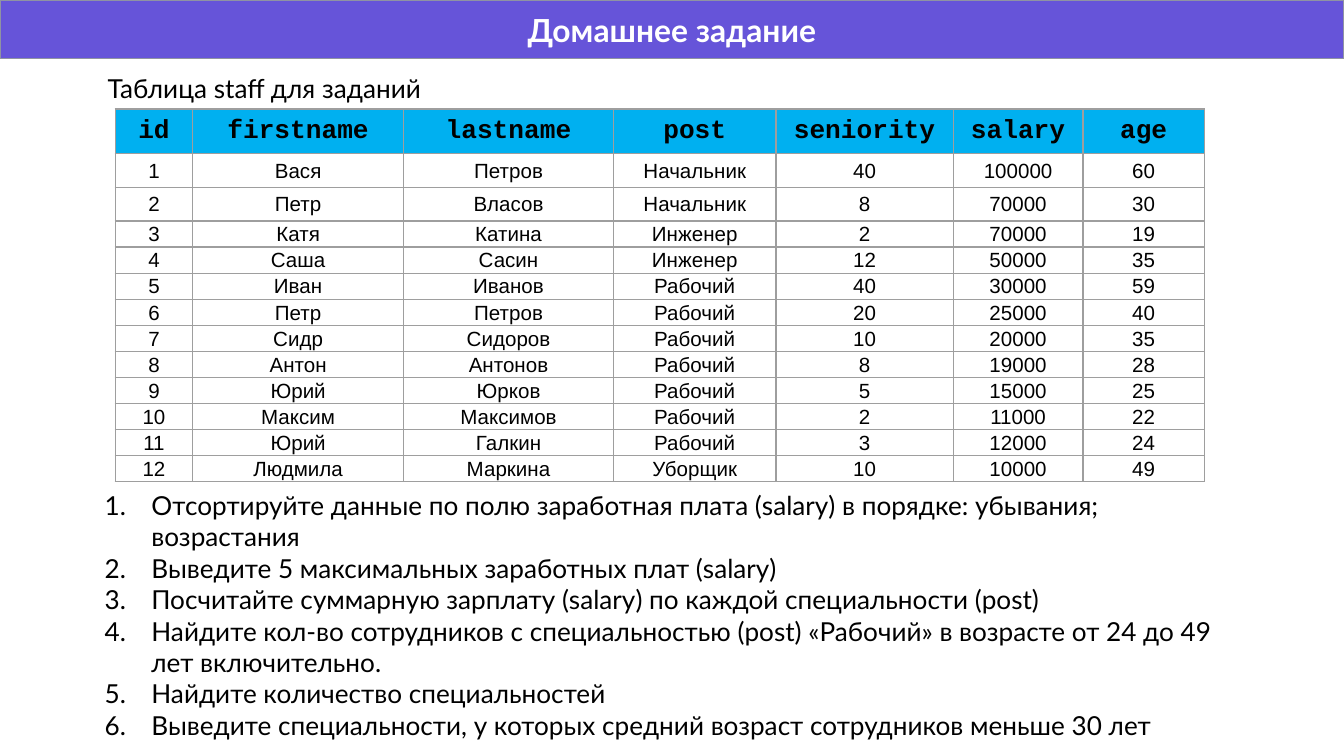
import dataclasses

import lxml.etree
import pptx
import pptx.dml.color
import pptx.enum.text
import pptx.oxml.ns
import pptx.util

Pt = pptx.util.Pt
qn = pptx.oxml.ns.qn
SubElement = lxml.etree.SubElement
Align = pptx.enum.text.PP_ALIGN
Anchor = pptx.enum.text.MSO_ANCHOR
AutoSize = pptx.enum.text.MSO_AUTO_SIZE


@dataclasses.dataclass(frozen=True)
class Theme:
    banner: str = "6654D9"
    banner_line: str = "8F93A3"
    banner_text: str = "FFFFFF"
    text: str = "000000"
    header: str = "00B0F0"
    grid: str = "9E9E9E"
    text_font: str = "Lato"
    header_font: str = "Courier New"
    cell_font: str = "Arial"
    title_size: float = 17
    text_size: float = 14
    cell_size: float = 11
    line_width: float = 0.75
    text_inset: float = 7.2
    cell_inset: float = 0.72


THEME = Theme()

TITLE = "Домашнее задание"
CAPTION = "Таблица staff для заданий"
STAFF = [
    ("id", "firstname", "lastname", "post", "seniority", "salary", "age"),
    (1, "Вася", "Петров", "Начальник", 40, 100000, 60),
    (2, "Петр", "Власов", "Начальник", 8, 70000, 30),
    (3, "Катя", "Катина", "Инженер", 2, 70000, 19),
    (4, "Саша", "Сасин", "Инженер", 12, 50000, 35),
    (5, "Иван", "Иванов", "Рабочий", 40, 30000, 59),
    (6, "Петр", "Петров", "Рабочий", 20, 25000, 40),
    (7, "Сидр", "Сидоров", "Рабочий", 10, 20000, 35),
    (8, "Антон", "Антонов", "Рабочий", 8, 19000, 28),
    (9, "Юрий", "Юрков", "Рабочий", 5, 15000, 25),
    (10, "Максим", "Максимов", "Рабочий", 2, 11000, 22),
    (11, "Юрий", "Галкин", "Рабочий", 3, 12000, 24),
    (12, "Людмила", "Маркина", "Уборщик", 10, 10000, 49),
]
COLUMN_WIDTHS = [41.5, 113, 112.5, 87, 95, 69.5, 65]
ROW_HEIGHTS = [24, 18, 18] + [14] * 10
TASKS = [
    "Отсортируйте данные по полю заработная плата (salary) в порядке: убывания; возрастания",
    "Выведите 5 максимальных заработных плат (salary)",
    "Посчитайте суммарную зарплату (salary) по каждой специальности (роst)",
    "Найдите кол-во сотрудников с специальностью (post) «Рабочий» в возрасте от 24 до 49 лет включительно.",
    "Найдите количество специальностей",
    "Выведите специальности, у которых средний возраст сотрудников меньше 30 лет",
]


def rgb(value):
    return pptx.dml.color.RGBColor.from_string(value)


def format_text(text_frame, font, size, color, bold=False, align=Align.LEFT):
    for paragraph in text_frame.paragraphs:
        paragraph.alignment = align
        for run in paragraph.runs:
            run.font.name = font
            run.font.size = Pt(size)
            run.font.bold = bold
            run.font.color.rgb = rgb(color)


def set_insets(text_frame):
    inset = Pt(THEME.text_inset)
    text_frame.margin_left = text_frame.margin_right = inset
    text_frame.margin_top = text_frame.margin_bottom = inset
    text_frame.word_wrap = True


def place(shape, box):
    shape.left, shape.top, shape.width, shape.height = (Pt(length) for length in box)


def add_banner(slide, box):
    title = slide.shapes.title
    place(title, box)
    title.fill.solid()
    title.fill.fore_color.rgb = rgb(THEME.banner)
    title.line.color.rgb = rgb(THEME.banner_line)
    title.line.width = Pt(THEME.line_width)
    text_frame = title.text_frame
    text_frame.text = TITLE
    set_insets(text_frame)
    text_frame.auto_size = AutoSize.NONE
    text_frame.vertical_anchor = Anchor.MIDDLE
    format_text(text_frame, THEME.text_font, THEME.title_size,
                THEME.banner_text, bold=True, align=Align.CENTER)


def add_text(slide, box, text):
    text_frame = slide.shapes.add_textbox(*(Pt(length) for length in box)).text_frame
    text_frame.text = text
    set_insets(text_frame)
    text_frame.auto_size = AutoSize.SHAPE_TO_FIT_TEXT
    format_text(text_frame, THEME.text_font, THEME.text_size, THEME.text)
    return text_frame


def add_tasks(slide, box):
    text_frame = add_text(slide, box, "\n".join(TASKS))
    for paragraph in text_frame.paragraphs:
        properties = paragraph._p.get_or_add_pPr()
        properties.set("marL", str(Pt(36)))
        properties.set("indent", str(Pt(-25)))
        bullet_color = SubElement(properties, qn("a:buClr"))
        SubElement(bullet_color, qn("a:srgbClr"), val=THEME.text)
        SubElement(properties, qn("a:buFont"), typeface=THEME.text_font)
        SubElement(properties, qn("a:buAutoNum"), type="arabicPeriod")


def add_borders(cell):
    """Append the four lines; call before the cell gets its fill."""
    properties = cell._tc.get_or_add_tcPr()
    for side in ("a:lnL", "a:lnR", "a:lnT", "a:lnB"):
        line = SubElement(properties, qn(side), w=str(Pt(THEME.line_width)))
        fill = SubElement(line, qn("a:solidFill"))
        SubElement(fill, qn("a:srgbClr"), val=THEME.grid)


def fill_cell(cell, value, is_header):
    add_borders(cell)
    inset = Pt(THEME.cell_inset)
    cell.margin_left = cell.margin_right = cell.margin_top = inset
    cell.margin_bottom = 0
    cell.vertical_anchor = Anchor.MIDDLE
    cell.text_frame.text = str(value)
    if is_header:
        cell.fill.solid()
        cell.fill.fore_color.rgb = rgb(THEME.header)
        font, size = THEME.header_font, THEME.text_size
    else:
        cell.fill.background()
        font, size = THEME.cell_font, THEME.cell_size
    format_text(cell.text_frame, font, size, THEME.text,
                bold=is_header, align=Align.CENTER)


def add_staff_table(slide, left, top):
    table = slide.shapes.add_table(
        len(STAFF), len(COLUMN_WIDTHS), Pt(left), Pt(top),
        Pt(sum(COLUMN_WIDTHS)), Pt(sum(ROW_HEIGHTS))).table
    table.horz_banding = False
    for column, width in zip(table.columns, COLUMN_WIDTHS):
        column.width = Pt(width)
    for row_index, (row, height, values) in enumerate(zip(table.rows, ROW_HEIGHTS, STAFF)):
        row.height = Pt(height)
        for cell, value in zip(row.cells, values):
            fill_cell(cell, value, is_header=row_index == 0)


def main():
    presentation = pptx.Presentation()
    presentation.slide_width = Pt(720)
    presentation.slide_height = Pt(405)
    slide = presentation.slides.add_slide(presentation.slide_layouts[5])
    add_banner(slide, (0, 0, 720, 31.5))
    add_text(slide, (50.5, 31.5, 458.5, 31.5), CAPTION)
    add_tasks(slide, (38, 255, 630, 150))
    add_staff_table(slide, 61.75, 58.4)
    presentation.save("out.pptx")


if __name__ == "__main__":
    main()
